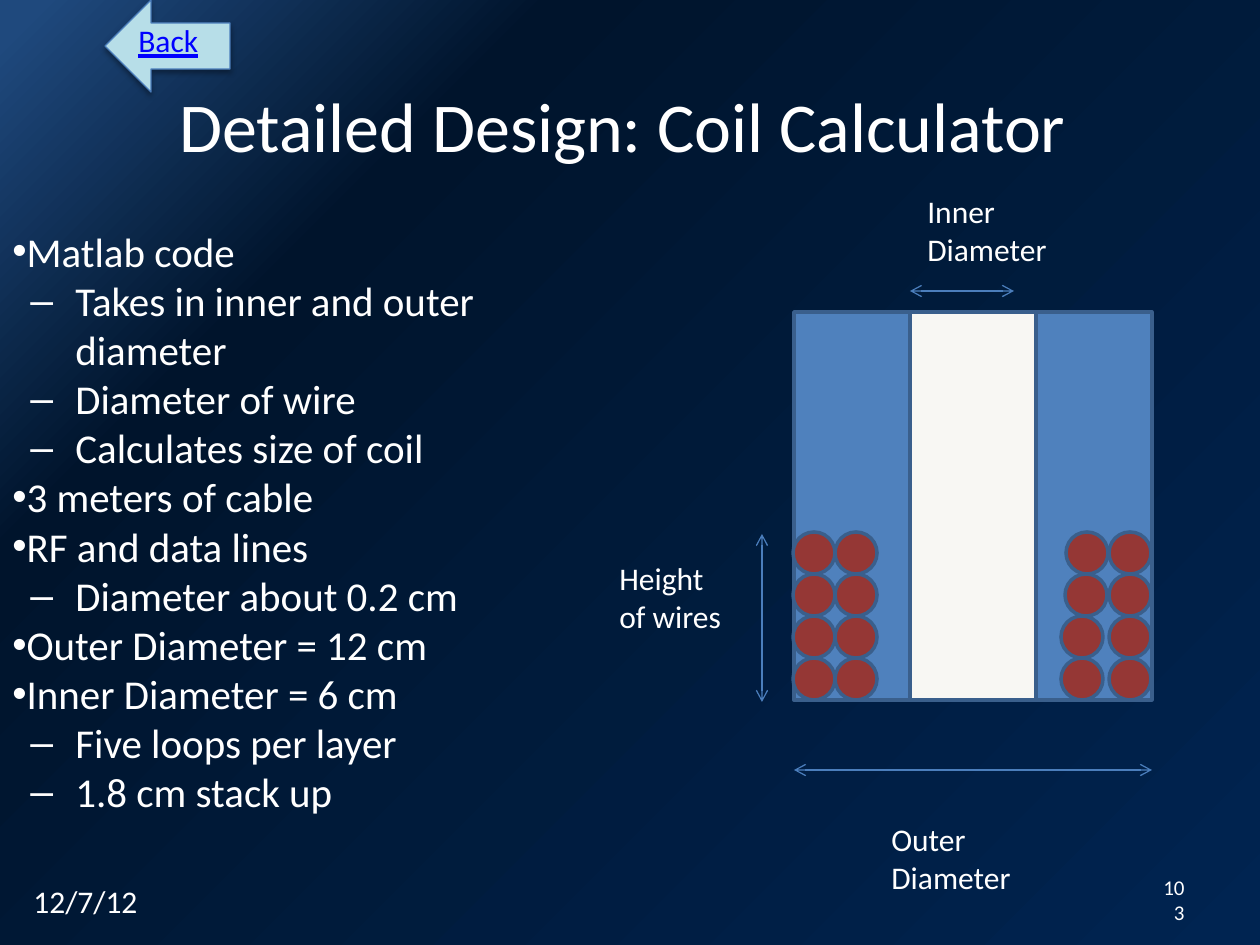
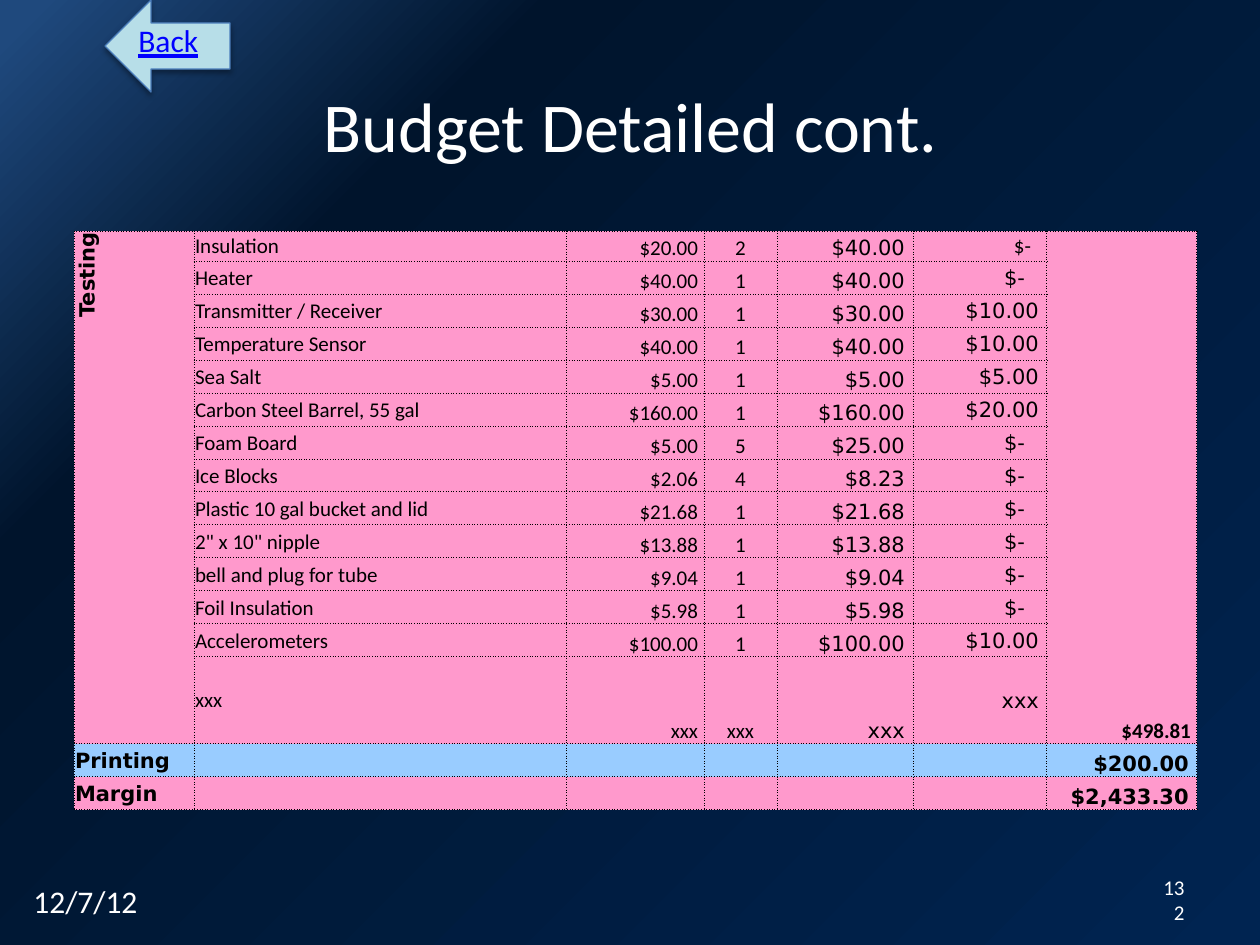
from typing import NamedTuple

from lxml.etree import SubElement
from pptx import Presentation
from pptx.dml.color import RGBColor
from pptx.enum.shapes import MSO_CONNECTOR, MSO_SHAPE
from pptx.enum.text import MSO_ANCHOR, PP_ALIGN
from pptx.oxml import parse_xml
from pptx.oxml.ns import nsdecls, qn
from pptx.util import Emu, Pt

WHITE = RGBColor(0xFF, 0xFF, 0xFF)
BLACK = RGBColor(0x00, 0x00, 0x00)
LINK = RGBColor(0x00, 0x00, 0xFF)
ICE = RGBColor(0xB7, 0xDE, 0xE8)
EDGE = RGBColor(0x4B, 0x7E, 0xBC)
STEEL = RGBColor(0x4F, 0x81, 0xBD)
RIM = RGBColor(0x3A, 0x5F, 0x8C)
WIRE = RGBColor(0x95, 0x37, 0x35)
CORE = RGBColor(0xF8, 0xF7, 0xF3)
PINK = RGBColor(0xFF, 0x99, 0xCC)
SKY = RGBColor(0x99, 0xCC, 0xFF)
GLOW = RGBColor(0x1F, 0x49, 0x7D)
NIGHT = RGBColor(0x00, 0x14, 0x2C)
NAVY = RGBColor(0x00, 0x24, 0x51)

SANS = "Calibri"
WIDE = "DejaVu Sans"
SPACE = {SANS: 5, WIDE: 7}
LEFT, MID, RIGHT = PP_ALIGN.LEFT, PP_ALIGN.CENTER, PP_ALIGN.RIGHT
TOP, HALF, LOW = MSO_ANCHOR.TOP, MSO_ANCHOR.MIDDLE, MSO_ANCHOR.BOTTOM


class Box(NamedTuple):
    """A frame in px."""
    left: int
    top: int
    width: int
    height: int


class Arrow(NamedTuple):
    """A line with two heads, in px."""
    x1: int
    y1: int
    x2: int
    y2: int


class Label(NamedTuple):
    """A caption and its frame."""
    text: str
    box: Box


class Point(NamedTuple):
    """One bullet of the list."""
    text: str
    level: int = 0


class Item(NamedTuple):
    """One line of the budget."""
    name: str
    price: str
    count: str
    total: str
    freight: str


class Sum(NamedTuple):
    """One closing line of the budget."""
    name: str
    total: str
    fill: RGBColor


POINTS = [
    Point("Matlab code"),
    Point("Takes in inner and outer diameter", 1),
    Point("Diameter of wire", 1),
    Point("Calculates size of coil", 1),
    Point("3 meters of cable"),
    Point("RF and data lines"),
    Point("Diameter about 0.2 cm", 1),
    Point("Outer Diameter = 12 cm"),
    Point("Inner Diameter = 6 cm"),
    Point("Five loops per layer", 1),
    Point("1.8 cm stack up", 1),
]
LABELS = [
    Label("Outer Diameter", Box(879, 814, 179, 89)),
    Label("Inner Diameter", Box(915, 186, 179, 89)),
    Label("Height of wires", Box(607, 553, 136, 89)),
]
ARROWS = [
    Arrow(794, 770, 1152, 770),
    Arrow(910, 291, 1014, 291),
    Arrow(762, 534, 762, 702),
]
ITEMS = [
    Item("Insulation", "$20.00", "2", "$40.00", "$-"),
    Item("Heater", "$40.00", "1", "$40.00", "$-"),
    Item("Transmitter / Receiver", "$30.00", "1", "$30.00", "$10.00"),
    Item("Temperature Sensor", "$40.00", "1", "$40.00", "$10.00"),
    Item("Sea Salt", "$5.00", "1", "$5.00", "$5.00"),
    Item("Carbon Steel Barrel, 55 gal", "$160.00", "1", "$160.00", "$20.00"),
    Item("Foam Board", "$5.00", "5", "$25.00", "$-"),
    Item("Ice Blocks", "$2.06", "4", "$8.23", "$-"),
    Item("Plastic 10 gal bucket and lid", "$21.68", "1", "$21.68", "$-"),
    Item('2" x 10" nipple', "$13.88", "1", "$13.88", "$-"),
    Item("bell and plug for tube", "$9.04", "1", "$9.04", "$-"),
    Item("Foil Insulation", "$5.98", "1", "$5.98", "$-"),
    Item("Accelerometers", "$100.00", "1", "$100.00", "$10.00"),
    Item("xxx", "xxx", "xxx", "xxx", "xxx"),
]
SUMS = [Sum("Printing", "$200.00", SKY), Sum("Margin", "$2,433.30", PINK)]
WIDTHS = [120, 372, 138, 73, 136, 134, 150]
HEIGHTS = [30] + [33] * 12 + [87, 33, 33]


def px(size: int) -> Emu:
    """Turn px into EMU."""
    return Emu(round(size * 914400 / 126))


def write(para, text: str, *, size: float = 18, font: str = SANS, color=WHITE,
          bold: bool = False, under: bool = False, align=LEFT) -> None:
    """Put one formatted run in a paragraph."""
    para.alignment = align
    run = para.add_run()
    run.text = text
    face = run.font
    face.size, face.name, face.bold = Pt(size), font, bold
    face.color.rgb = color
    if under:
        face.underline = True


def add_text(shapes, box: Box, text: str, *, anchor=TOP, wrap: bool = True, **style):
    """Add a text box and return its frame."""
    frame = shapes.add_textbox(*map(px, box)).text_frame
    frame.word_wrap = wrap
    frame.vertical_anchor = anchor
    if text:
        write(frame.paragraphs[0], text, **style)
    return frame


def add_form(shapes, kind, box: Box, fill, line=RIM, width: float = 2):
    """Add a filled preset shape."""
    form = shapes.add_shape(kind, *map(px, box))
    form.shadow.inherit = False
    form.fill.solid()
    form.fill.fore_color.rgb = fill
    form.line.color.rgb = line
    form.line.width = Pt(width)
    return form


def add_arrow(shapes, arrow: Arrow) -> None:
    """Add a thin line with open heads at both ends."""
    line = shapes.add_connector(MSO_CONNECTOR.STRAIGHT, *map(px, arrow))
    line.line.color.rgb = EDGE
    line.line.width = Pt(0.75)
    props = line.element.spPr
    for end in ("a:headEnd", "a:tailEnd"):
        SubElement(props.find(qn("a:ln")), qn(end), type="arrow")
    SubElement(props, qn("a:effectLst"))


def add_back(slide) -> None:
    """Add the grouped back button."""
    shapes = slide.shapes.add_group_shape().shapes
    form = add_form(shapes, MSO_SHAPE.LEFT_ARROW, Box(105, 0, 125, 92), ICE, EDGE, 0.75)
    glow = form.element.spPr.find(qn("a:effectLst"))
    glow.append(parse_xml(
        f'<a:outerShdw {nsdecls("a")} blurRad="39370" dist="22860" dir="5400000" '
        'rotWithShape="0"><a:srgbClr val="000000"><a:alpha val="35000"/>'
        '</a:srgbClr></a:outerShdw>'))
    add_text(shapes, Box(126, 15, 86, 50), "Back", wrap=False, color=LINK, under=True)


def paint(slide) -> None:
    """Fill the background with the diagonal night blend."""
    fill = slide.background.fill
    fill.gradient()
    fill.gradient_angle = 315
    stops = next(slide.element.iter(qn("a:gsLst")))
    for stop in list(stops):
        stops.remove(stop)
    for place, color in ((2, GLOW), (25, NIGHT), (100, NAVY)):
        stop = SubElement(stops, qn("a:gs"), pos=str(place * 1000))
        SubElement(stop, qn("a:srgbClr"), val=str(color))


def add_slide(deck, title: str, number: str):
    """Add a slide with all that the slides share."""
    slide = deck.slides.add_slide(deck.slide_layouts[6])
    paint(slide)
    shapes = slide.shapes
    add_text(shapes, Box(111, 69, 1039, 111), title, anchor=HALF, size=40, align=MID)
    add_text(shapes, Box(1144, 876, 53, 48), number, anchor=HALF, size=12, align=RIGHT)
    add_text(shapes, Box(21, 876, 294, 50), "12/7/12")
    return slide


def add_list(shapes) -> None:
    """Add the bullet list."""
    frame = add_text(shapes, Box(0, 220, 577, 624), "")
    for index, point in enumerate(POINTS):
        para = frame.add_paragraph() if index else frame.paragraphs[0]
        para.level = point.level
        props = para._p.get_or_add_pPr()
        margin, indent, mark = ((0, 0, "•"), (63, -45, "–"))[point.level]
        props.set("marL", str(px(margin)))
        props.set("indent", str(px(indent)))
        SubElement(props, qn("a:buFont"), typeface="Arial")
        SubElement(props, qn("a:buChar"), char=mark)
        write(para, point.text, size=23.4)


def add_coil(shapes) -> None:
    """Add the coil section with its wires."""
    for left, width, fill in ((794, 116, STEEL), (1036, 116, STEEL), (910, 126, CORE)):
        add_form(shapes, MSO_SHAPE.RECTANGLE, Box(left, 312, width, 388), fill)
    for row, third in enumerate((1066, 1065, 1061, 1061)):
        for left in (793, 835, third, 1109):
            add_form(shapes, MSO_SHAPE.OVAL, Box(left, 532 + 42 * row, 42, 42), WIRE)


def style_cell(cell, fill) -> None:
    """Set fill, insets and dotted borders of a cell."""
    cell.margin_left = cell.margin_right = cell.margin_top = px(1)
    cell.margin_bottom = 0
    cell.fill.solid()
    cell.fill.fore_color.rgb = fill
    props = cell._tc.get_or_add_tcPr()
    for index, side in enumerate("LRTB"):
        props.insert(index, parse_xml(
            f'<a:ln{side} {nsdecls("a")} w="6350"><a:solidFill><a:srgbClr val="{BLACK}"/>'
            f'</a:solidFill><a:prstDash val="sysDot"/></a:ln{side}>'))


def fill_cell(cell, text: str, *, anchor=HALF, align=LEFT, font: str = SANS,
              bold: bool = False) -> None:
    """Write a cell, keeping numbers off the right edge."""
    cell.vertical_anchor = anchor
    if align == RIGHT:
        cell.margin_right = px(1 + SPACE[font] * (3 if text == "$-" else 1))
    write(cell.text_frame.paragraphs[0], text, size=12, font=font, color=BLACK,
          bold=bold, align=align)


def add_budget(shapes) -> None:
    """Add the budget table."""
    box = Box(74, 231, sum(WIDTHS), sum(HEIGHTS))
    table = shapes.add_table(len(HEIGHTS), len(WIDTHS), *map(px, box)).table
    table.first_row = table.horz_banding = False
    for column, width in zip(table.columns, WIDTHS):
        column.width = px(width)
    fills = [PINK] * len(ITEMS) + [line.fill for line in SUMS]
    for row, height, fill in zip(table.rows, HEIGHTS, fills):
        row.height = px(height)
        for cell in row.cells:
            style_cell(cell, fill)
    last, end = len(ITEMS) - 1, len(WIDTHS) - 1
    for col in (0, end):
        table.cell(0, col).merge(table.cell(last, col))
    side = table.cell(0, 0)
    fill_cell(side, "Testing", align=RIGHT, font=WIDE, bold=True)
    side.margin_right = px(1)
    side._tc.get_or_add_tcPr().set("vert", "vert270")
    fill_cell(table.cell(0, end), "$498.81", anchor=LOW, align=RIGHT, bold=True)
    for row, item in enumerate(ITEMS):
        fill_cell(table.cell(row, 1), item.name)
        fill_cell(table.cell(row, 2), item.price, anchor=LOW, align=RIGHT)
        fill_cell(table.cell(row, 3), item.count, anchor=LOW, align=MID)
        fill_cell(table.cell(row, 4), item.total, anchor=LOW, align=RIGHT, font=WIDE)
        fill_cell(table.cell(row, 5), item.freight, align=RIGHT,
                  font=WIDE if row else SANS)
    for row, line in enumerate(SUMS, len(ITEMS)):
        fill_cell(table.cell(row, 0), line.name, font=WIDE, bold=True)
        fill_cell(table.cell(row, end), line.total, anchor=LOW, align=RIGHT,
                  font=WIDE, bold=True)
    for cell in table.iter_cells():
        if not cell.text:
            SubElement(cell.text_frame.paragraphs[0]._p, qn("a:endParaRPr"), sz="1200")


def main() -> None:
    """Build and save the deck."""
    deck = Presentation()
    deck.slide_width, deck.slide_height = px(1260), px(945)
    coil = add_slide(deck, "Detailed Design: Coil Calculator ", "103")
    add_list(coil.shapes)
    add_coil(coil.shapes)
    for arrow in ARROWS:
        add_arrow(coil.shapes, arrow)
    for label in LABELS:
        add_text(coil.shapes, label.box, label.text)
    add_back(coil)
    budget = add_slide(deck, "Budget Detailed cont.", "132")
    add_budget(budget.shapes)
    add_back(budget)
    deck.save("out.pptx")


if __name__ == "__main__":
    main()
